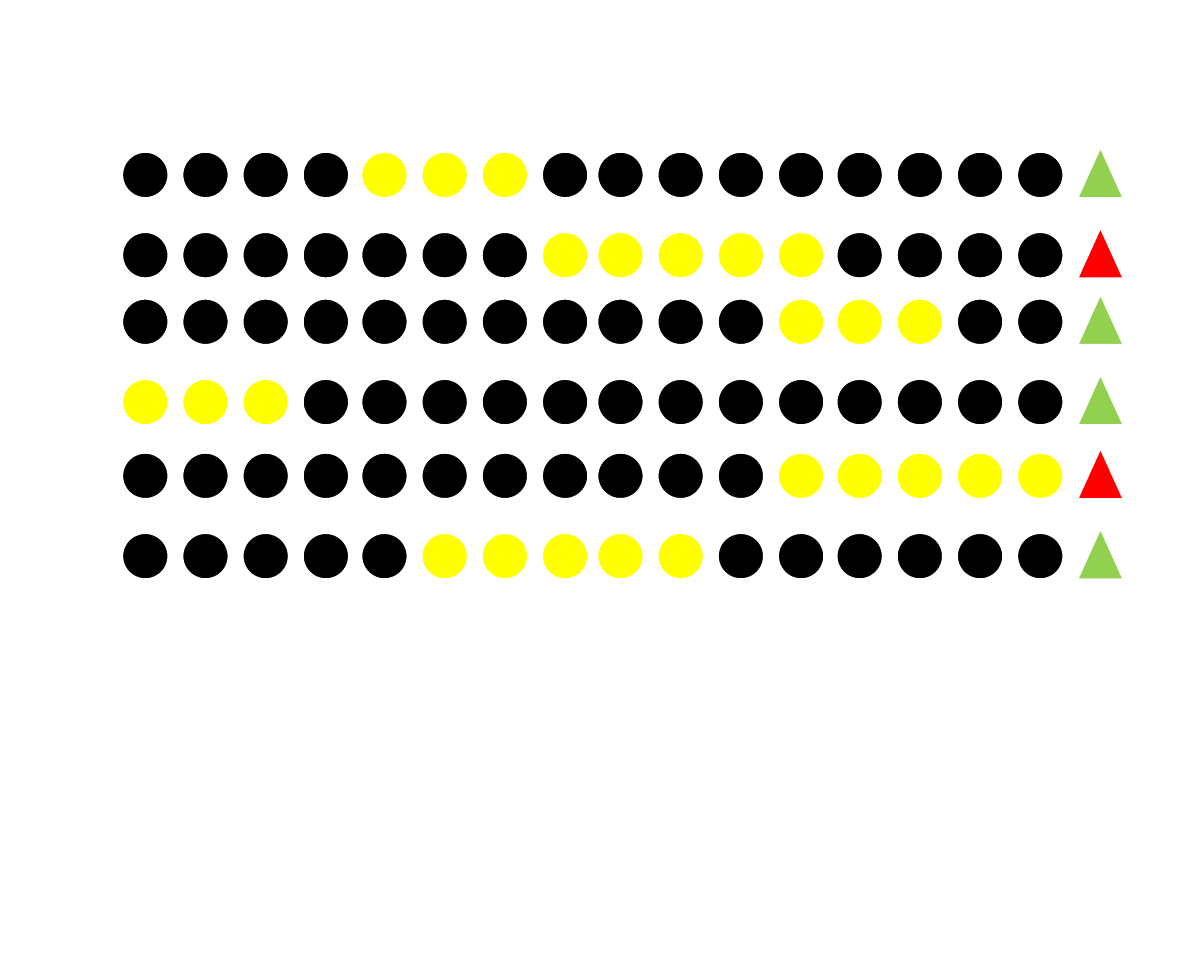
"""Build a slide with six rows of sixteen dots, each with a lit run and a status triangle."""
from dataclasses import dataclass

from pptx import Presentation
from pptx.dml.color import RGBColor
from pptx.enum.shapes import MSO_SHAPE as SHAPE
from pptx.util import Inches, Pt


@dataclass(frozen=True)
class Theme:
    dark: str = "000000"
    lit: str = "FFFF00"
    good: str = "92D050"
    bad: str = "FF0000"
    outline: str = "FFFFFF"
    outline_width: float = 2


theme = Theme()


def add_mark(shapes, kind, x, y, height, color):
    sp = shapes.add_shape(kind, Inches(x), Inches(y), Inches(SIZE), Inches(height))
    sp.shadow.inherit = False
    sp.fill.solid()
    sp.fill.fore_color.rgb = RGBColor.from_string(color)
    sp.line.color.rgb = RGBColor.from_string(theme.outline)
    sp.line.width = Pt(theme.outline_width)


SIZE = 0.58
TRIANGLE_HEIGHT = 0.64
TRIANGLE_LEFT = 13.42
PITCH = 0.75
BLOCK_LEFTS = [1.52, 4.5, 7.44, 10.42]
DOT_LEFTS = [left + i * PITCH for left in BLOCK_LEFTS for i in range(4)]

rows = [
    (1.89, 4, 3, theme.good),
    (2.89, 7, 5, theme.bad),
    (3.72, 11, 3, theme.good),
    (4.72, 0, 3, theme.good),
    (5.64, 11, 5, theme.bad),
    (6.64, 5, 5, theme.good),
]

prs = Presentation()
prs.slide_width, prs.slide_height = Inches(15), Inches(12)
s = prs.slides.add_slide(prs.slide_layouts[6])

for top, first_lit, lit_count, status in rows:
    row = s.shapes.add_group_shape()
    for i, left in enumerate(DOT_LEFTS):
        lit = first_lit <= i < first_lit + lit_count
        add_mark(row.shapes, SHAPE.OVAL, left, top, SIZE, theme.lit if lit else theme.dark)
    triangle_top = top + SIZE - TRIANGLE_HEIGHT
    add_mark(row.shapes, SHAPE.ISOSCELES_TRIANGLE, TRIANGLE_LEFT, triangle_top,
             TRIANGLE_HEIGHT, status)

prs.save("out.pptx")
